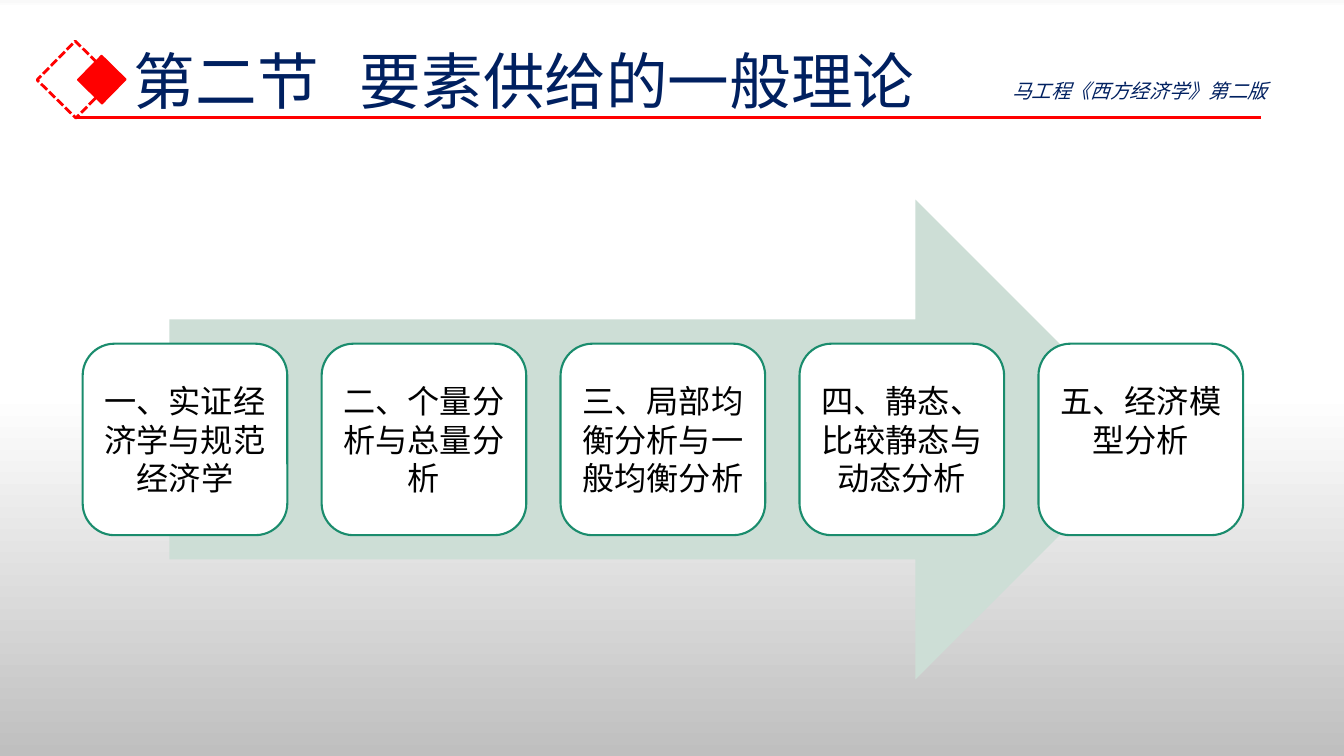
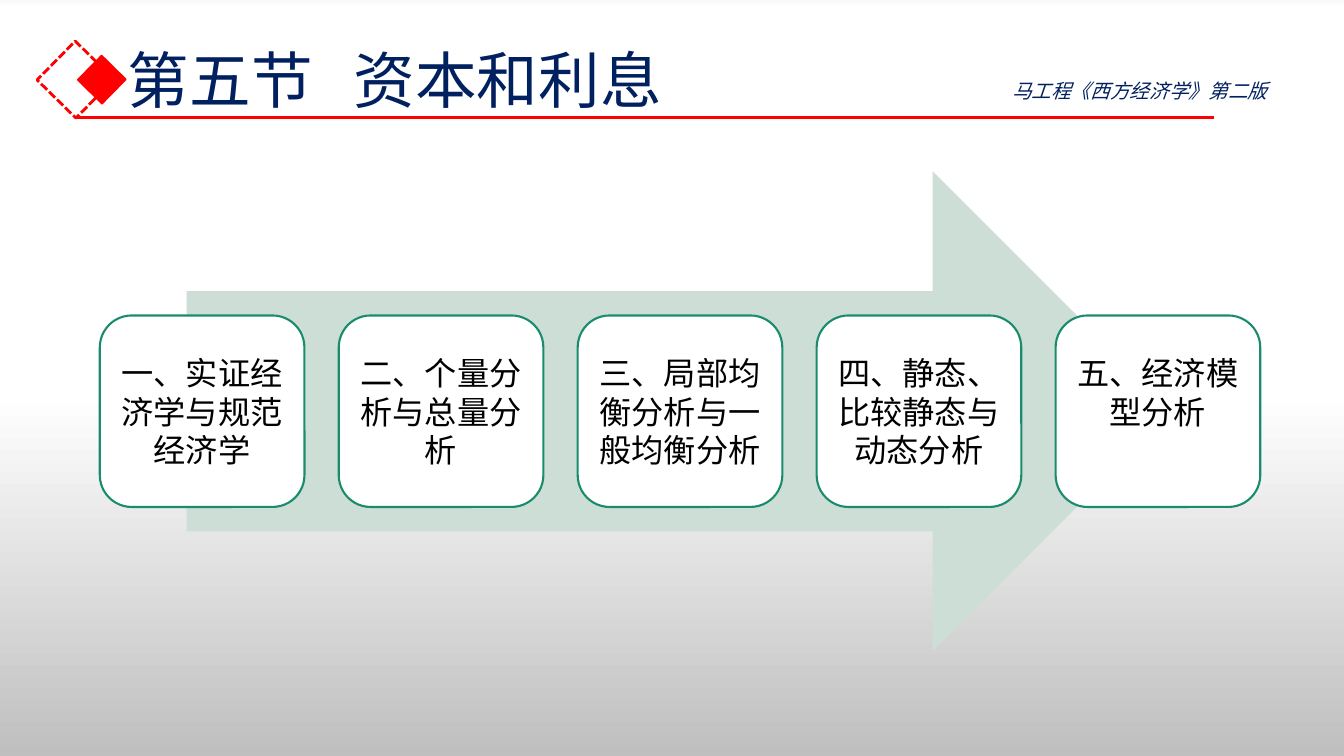
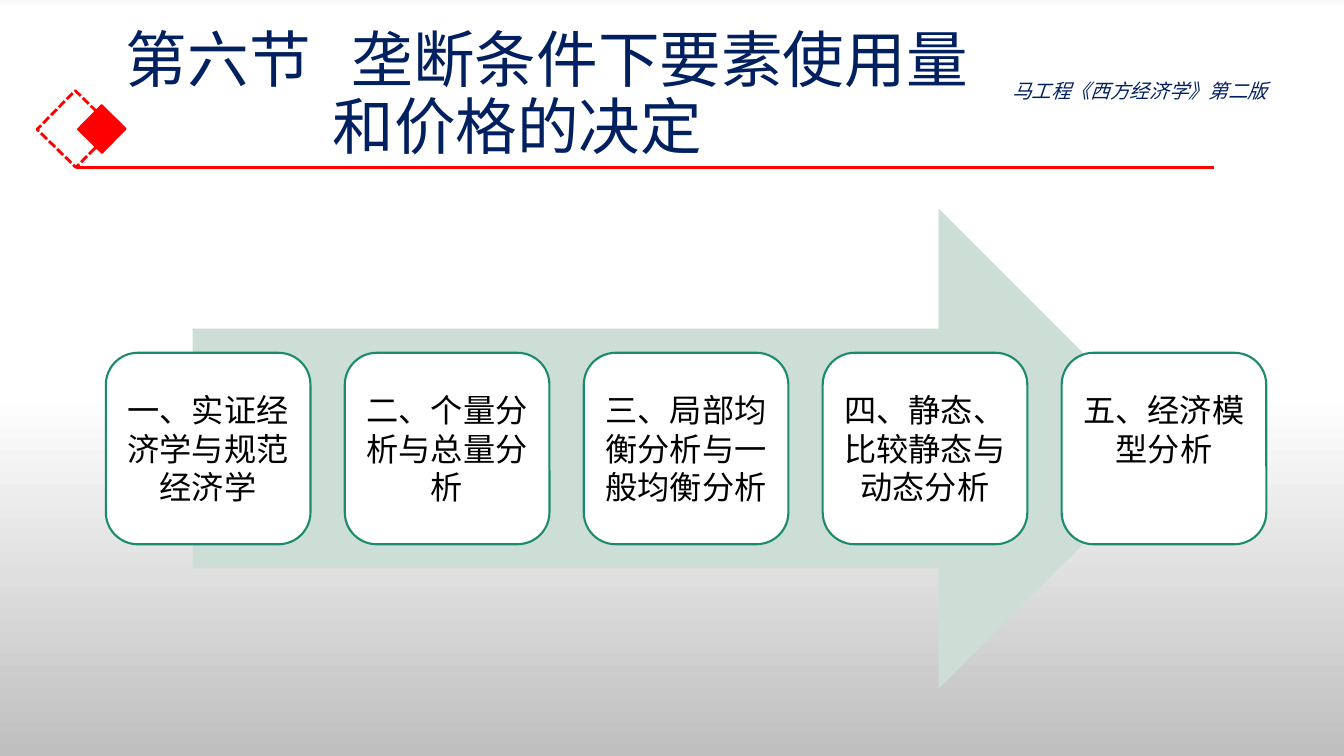
from lxml.etree import SubElement
from pptx import Presentation
from pptx.dml.color import RGBColor
from pptx.enum.dml import MSO_LINE
from pptx.enum.shapes import MSO_CONNECTOR, MSO_SHAPE
from pptx.enum.text import MSO_ANCHOR, PP_ALIGN
from pptx.oxml.ns import qn
from pptx.util import Inches, Pt

COLORS = {"red": "FF0000", "navy": "002060", "green": "1A8C6D",
          "arrow": "CDDED6", "white": "FFFFFF", "black": "000000"}
BG_STOPS = [(0, "F9F9F9"), (1, "FFFFFF"), (52, "FFFFFF"), (100, "BFBFBF")]
TITLE_FONT, BODY_FONT = "Noto Sans CJK SC", "Calibri"
BOOK = "马工程《西方经济学》第二版"
TOPICS = ["一、实证经济学与规范经济学", "二、个量分析与总量分析",
          "三、局部均衡分析与一般均衡分析", "四、静态、比较静态与动态分析",
          "五、经济模型分析"]
CARD_W, CARD_H, CARD_PITCH = 2.03, 1.9, 2.37
LINE_H = 0.38

# title lines, title box, marker top, rule end, arrow corner
SLIDES = [
    (["第二节\t要素供给的一般理论"], (1.23, 0.11, 11.19, 1.45), 0.52, 12.51, (1.68, 1.98)),
    (["第五节\t资本和利息"], (1.17, 0.1, 11.5, 1.45), 0.52, 12.04, (1.85, 1.7)),
    (["第六节\t垄断条件下要素使用量", "和价格的决定"], (1.15, 0.23, 11.5, 1.45),
     1.01, 12.04, (1.91, 2.07)),
]


def rgb(name):
    return RGBColor.from_string(COLORS[name])


def set_background(master):
    fill = master.background.fill
    fill.gradient()
    fill.gradient_angle = 270
    stops = master.element.find(".//" + qn("p:bg")).find(".//" + qn("a:gsLst"))
    for old in list(stops):
        stops.remove(old)
    for pos, color in BG_STOPS:
        gs = SubElement(stops, qn("a:gs"), pos=str(pos * 1000))
        SubElement(gs, qn("a:srgbClr"), val=color)


def add_shape(s, kind, box, fill=None, line=None, width=1):
    sp = s.shapes.add_shape(kind, *map(Inches, box))
    sp.shadow.inherit = False
    if fill:
        sp.fill.solid()
        sp.fill.fore_color.rgb = rgb(fill)
    else:
        sp.fill.background()
    if line:
        sp.line.color.rgb = rgb(line)
        sp.line.width = Pt(width)
    else:
        sp.line.fill.background()
    return sp


def style(p, font, size, color):
    p.font.name, p.font.size = font, Pt(size)
    p.font.color.rgb = rgb(color)


def add_title(s, lines, box):
    tf = s.shapes.add_textbox(*map(Inches, box)).text_frame
    tf.word_wrap = True
    tf.vertical_anchor = MSO_ANCHOR.MIDDLE
    tf.text = "\n".join(lines)
    for i, p in enumerate(tf.paragraphs):
        style(p, TITLE_FONT, 44, "navy")
        p.line_spacing = 0.9
        pPr = p._p.get_or_add_pPr()
        if i:  # continuation line is indented
            pPr.set("marL", str(Inches(2.05)))
        else:  # gap between section number and name
            tabs = pPr.find(qn("a:tabLst"))
            if tabs is None:
                tabs = pPr.makeelement(qn("a:tabLst"), {})
                pPr.find(qn("a:defRPr")).addprevious(tabs)
            SubElement(tabs, qn("a:tab"), pos=str(Inches(2.24)), algn="l")


def add_book_label(s):
    tf = s.shapes.add_textbox(*map(Inches, (9.94, 0.73, 3.24, 0.34))).text_frame
    tf.word_wrap = True
    tf.text = BOOK
    p = tf.paragraphs[0]
    style(p, TITLE_FONT, 14, "navy")
    p.font.italic = True


def add_header_marks(s, top, rule_end):
    # dashed and solid diamonds
    sp = add_shape(s, MSO_SHAPE.RECTANGLE, (0.48, top, 0.54, 0.54), line="red", width=2)
    sp.line.dash_style = MSO_LINE.SQUARE_DOT
    sp.rotation = 314.5
    sp = add_shape(s, MSO_SHAPE.RECTANGLE, (0.84, top + 0.1, 0.34, 0.34), "red", "red")
    sp.rotation = 314.5
    # rule under the title
    y = Inches(top + 0.65)
    rule = s.shapes.add_connector(MSO_CONNECTOR.STRAIGHT, Inches(0.75), y,
                                  Inches(rule_end), y)
    rule.line.color.rgb = rgb("red")
    rule.line.width = Pt(2.25)
    SubElement(rule._element.spPr, qn("a:effectLst"))


def add_card(s, x, y, text, bottom):
    sp = add_shape(s, MSO_SHAPE.ROUNDED_RECTANGLE, (x, y, CARD_W, CARD_H),
                   "white", "green", 1.5)
    tf = sp.text_frame
    tf.word_wrap = True
    tf.vertical_anchor = MSO_ANCHOR.MIDDLE
    tf.margin_left = tf.margin_right = tf.margin_top = Inches(0.1)
    tf.margin_bottom = Inches(bottom)
    tf.text = text
    p = tf.paragraphs[0]
    p.alignment = PP_ALIGN.CENTER
    style(p, BODY_FONT, 23, "black")


def add_process(s, x, y):
    add_shape(s, MSO_SHAPE.RIGHT_ARROW, (x, y, 9.78, 4.76), "arrow")
    for i, topic in enumerate(TOPICS):
        # the two-line topic starts level with the three-line ones
        bottom = 0.1 + (LINE_H if topic == TOPICS[-1] else 0)
        add_card(s, x - 0.86 + i * CARD_PITCH, y + 1.43, topic, bottom)


def main():
    prs = Presentation()
    prs.slide_width, prs.slide_height = Inches(13.33), Inches(7.5)
    set_background(prs.slide_master)
    for lines, title_box, marker_top, rule_end, arrow_at in SLIDES:
        s = prs.slides.add_slide(prs.slide_layouts[6])
        add_book_label(s)
        add_process(s, *arrow_at)
        add_header_marks(s, marker_top, rule_end)
        add_title(s, lines, title_box)
    prs.save("out.pptx")


if __name__ == "__main__":
    main()
